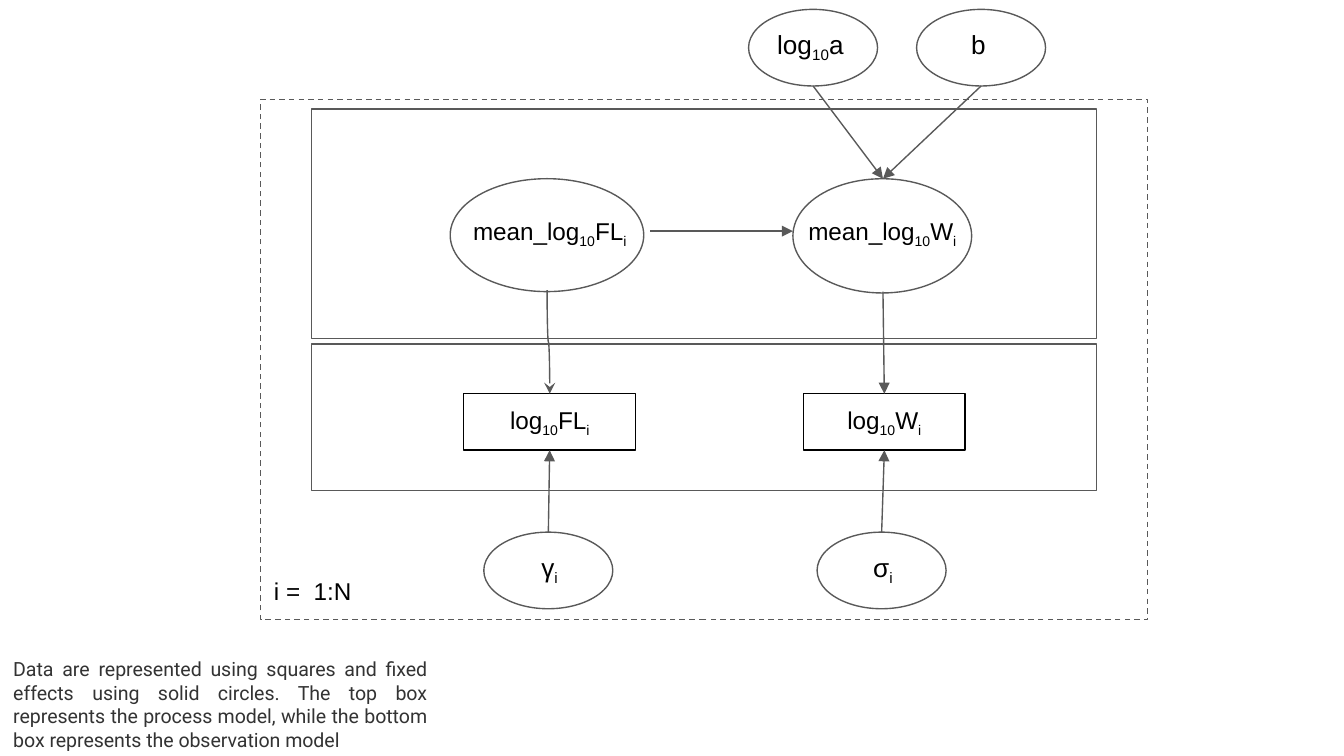
from lxml.etree import SubElement
from pptx import Presentation
from pptx.dml.color import RGBColor
from pptx.enum.dml import MSO_LINE
from pptx.enum.shapes import MSO_CONNECTOR as LINK, MSO_SHAPE as SHAPE
from pptx.enum.text import MSO_ANCHOR as ANCHOR, MSO_AUTO_SIZE as FIT, PP_ALIGN as ALIGN
from pptx.oxml.ns import qn
from pptx.util import Inches, Pt

GREY = RGBColor(0x59, 0x59, 0x59)
BLACK = RGBColor(0, 0, 0)
CAPTION_GREY = RGBColor(0x33, 0x33, 0x33)
COLUMNS, ROWS = 100, 56.25


def write(frame, text, size=13, font="Arial", color=BLACK, align=ALIGN.CENTER,
          anchor=ANCHOR.TOP):
    """Fill a frame; every second part between bars is a subscript."""
    frame.word_wrap = True
    frame.auto_size = FIT.SHAPE_TO_FIT_TEXT
    frame.vertical_anchor = anchor
    frame.margin_left = frame.margin_right = Inches(0.1)
    frame.margin_top = frame.margin_bottom = Inches(0.1)
    paragraph = frame.paragraphs[0]
    paragraph.alignment = align
    for index, part in enumerate(text.split("|")):
        run = paragraph.add_run()
        run.text = part
        run.font.name, run.font.size = font, Pt(size)
        run.font.color.rgb = color
        if index % 2:
            run._r.get_or_add_rPr().set("baseline", "-25000")


class ModelDiagram:
    """Draws on one slide; lengths are columns and rows of its grid."""

    def __init__(self, deck):
        self.slide = deck.slides.add_slide(deck.slide_layouts[6])
        self.column = deck.slide_width / COLUMNS
        self.row = deck.slide_height / ROWS

    def place(self, x, y, width, height):
        return (round(x * self.column), round(y * self.row),
                round(width * self.column), round(height * self.row))

    def outline(self, kind, area, color=GREY, dash=None, parent=None):
        shape = (parent or self.slide).shapes.add_shape(kind, *self.place(*area))
        shape.shadow.inherit = False
        shape.fill.background()
        shape.line.color.rgb = color
        shape.line.width = Pt(0.75)
        if dash:
            shape.line.dash_style = dash
        return shape

    def label(self, area, text, parent=None, **style):
        box = (parent or self.slide).shapes.add_textbox(*self.place(*area))
        write(box.text_frame, text, **style)

    def observed(self, area, text):
        box = self.outline(SHAPE.RECTANGLE, area, BLACK)
        write(box.text_frame, text, anchor=ANCHOR.MIDDLE)

    def node(self, area, text, label_area, **style):
        group = self.slide.shapes.add_group_shape()
        self.outline(SHAPE.OVAL, area, parent=group)
        self.label(label_area, text, parent=group, **style)

    def parameter(self, x, y, text, label_width=9.6):
        self.node((x, y, 9.6, 5.7), text,
                  (x + 0.1, y + 0.4, label_width, 4.4), size=14)

    def arrow(self, start, end, kind=LINK.STRAIGHT, head="triangle"):
        link = self.slide.shapes.add_connector(
            kind, *self.place(*start, *end))
        link.line.color.rgb = GREY
        link.line.width = Pt(0.75)
        properties = link._element.spPr
        SubElement(properties.get_or_add_ln(), qn("a:tailEnd"), type=head)
        SubElement(properties, qn("a:effectLst"))
        return link

    def falling_curve(self, start, end):
        """Curved arrow that leaves downwards: a level curve given a quarter turn."""
        (x1, y1), (x2, y2) = start, end
        middle_x, middle_y = (x1 + x2) / 2, (y1 + y2) / 2
        run, shift = (y2 - y1) / 2, (x2 - x1) / 2
        link = self.arrow((middle_x + run, middle_y - shift),
                          (middle_x - run, middle_y + shift), LINK.CURVE, "stealth")
        link._element.spPr.xfrm.rot = 270


def main():
    deck = Presentation()
    deck.slide_width, deck.slide_height = Inches(10), Inches(5.625)
    diagram = ModelDiagram(deck)

    diagram.outline(SHAPE.RECTANGLE, (19.4, 7.4, 66, 38.7), dash=MSO_LINE.DASH)
    for top, height in ((25.6, 10.9), (8.1, 17.1)):
        diagram.outline(SHAPE.RECTANGLE, (23.2, top, 58.4, height))

    diagram.observed((59.8, 29.3, 12, 4.2), "log|10|W|i")
    diagram.observed((34.5, 29.3, 12.8, 4.2), "log|10|FL|i")

    diagram.falling_curve((40.7, 21.6), (40.9, 29.3))
    diagram.node((33.5, 13.3, 14.4, 8.4), "mean_log|10|FL|i", (33.5, 15.1, 14.8, 4.2))
    diagram.label((0, 47.9, 32.8, 9.1),
                  "Data are represented using squares and fixed effects using solid "
                  "circles. The top box represents the process model, while the bottom "
                  "box represents the observation model",
                  size=10.5, font="Roboto", color=CAPTION_GREY, align=ALIGN.JUSTIFY)
    diagram.node((59, 13.3, 13.3, 8.5), "mean_log|10|W|i", (59, 15.1, 13.3, 4.2))

    diagram.parameter(68.2, 0.7, "b", label_width=9)
    diagram.parameter(55.7, 0.7, "log|10|a", label_width=9)
    diagram.parameter(60.8, 39.6, "σ|i")
    diagram.parameter(36, 39.6, "γ|i")
    diagram.label((19.4, 41.9, 10.8, 4.2), "i =  1:N", align=ALIGN.LEFT)

    for start, end in (
        ((65.7, 21.7), (65.8, 29.3)),
        ((48.4, 17.2), (59, 17.2)),
        ((73, 6.4), (65.7, 13.3)),
        ((60.5, 6.4), (65.7, 13.3)),
        ((65.6, 39.6), (65.8, 33.5)),
        ((40.8, 39.6), (40.9, 33.5)),
    ):
        diagram.arrow(start, end)

    deck.save("out.pptx")


if __name__ == "__main__":
    main()
